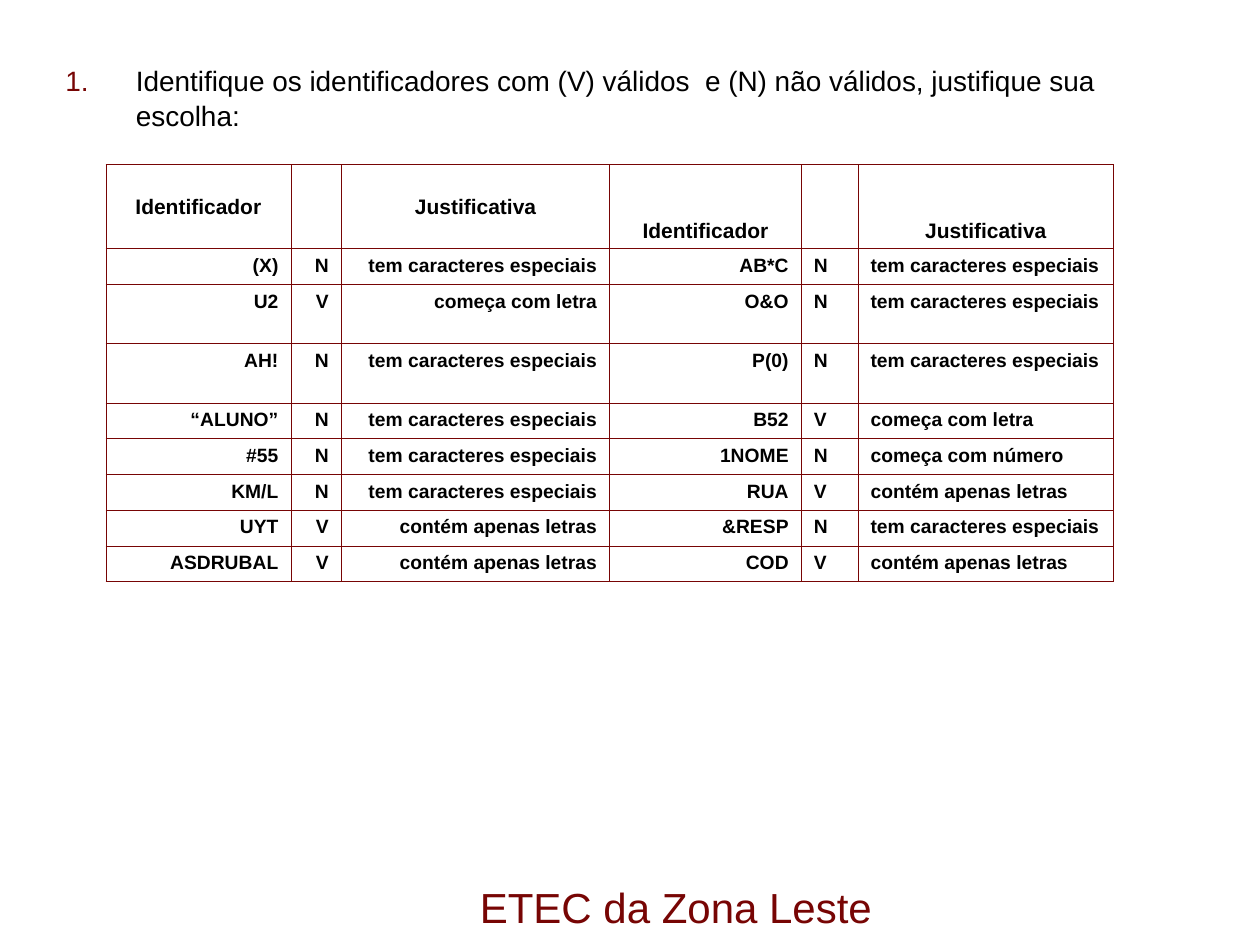
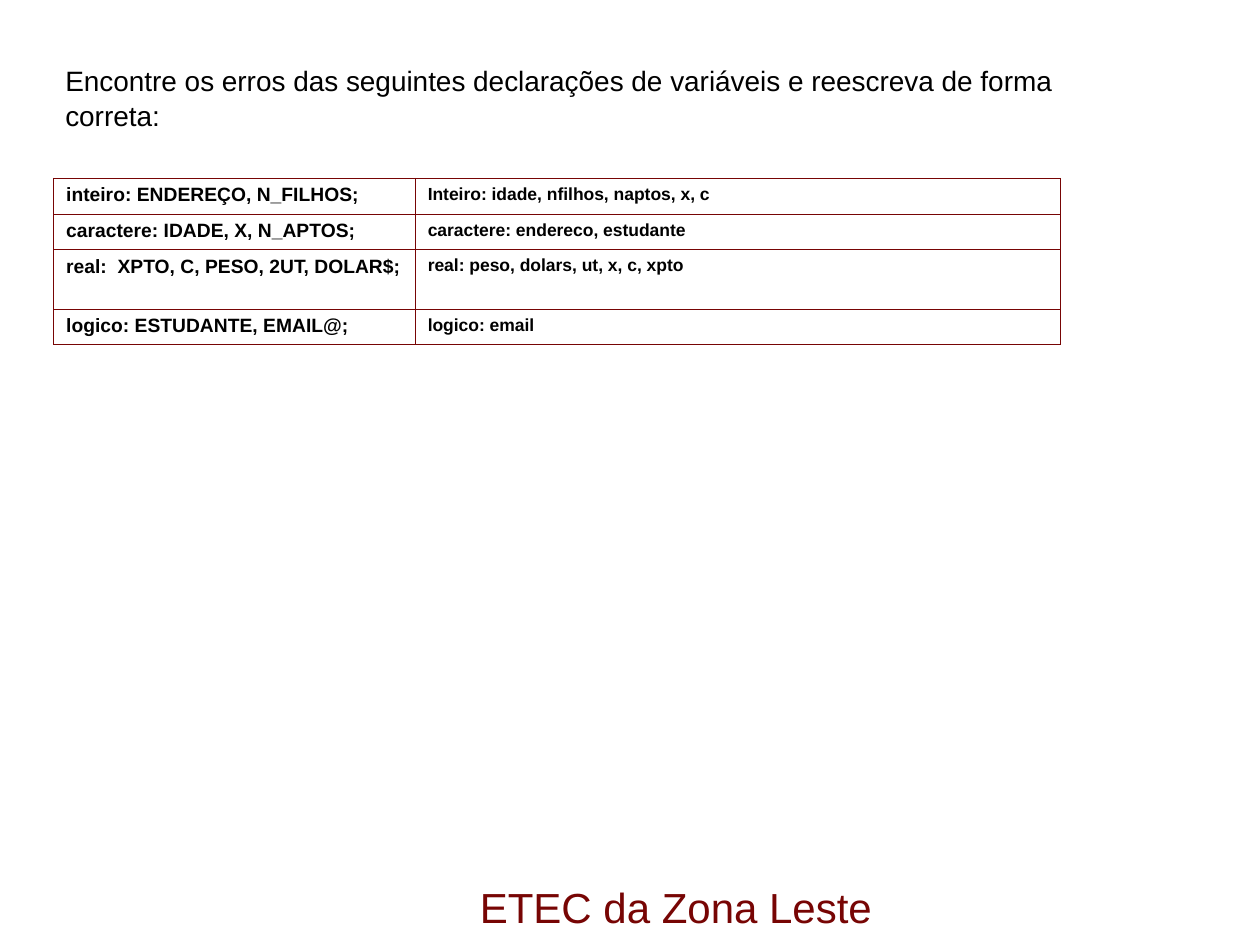
from lxml import etree
from pptx import Presentation, util as u
from pptx.dml.color import RGBColor
from pptx.enum import text
from pptx.oxml import ns

WINE, BLACK, WHITE = "770504", "000000", "FFFFFF"
LEFT, CENTER, RIGHT = text.PP_ALIGN.LEFT, text.PP_ALIGN.CENTER, text.PP_ALIGN.RIGHT
TOP, MIDDLE, BOTTOM = text.MSO_ANCHOR.TOP, text.MSO_ANCHOR.MIDDLE, text.MSO_ANCHOR.BOTTOM
COLS, ROWS = 100, 75
ROW, TALL_ROW, HEADER_ROW = 2.83, 4.7, 6.7


def rgb(value):
    return RGBColor.from_string(value)


def add_xml(parent, tag, **attrs):
    return etree.SubElement(parent, ns.qn(tag), attrs)


class Deck:
    font = "Arial"

    def __init__(self):
        self.prs = Presentation()
        self.prs.slide_width, self.prs.slide_height = u.Inches(10), u.Inches(7.5)
        self.s = None

    def x(self, cols):
        return round(self.prs.slide_width * cols / COLS)

    def y(self, rows):
        return round(self.prs.slide_height * rows / ROWS)

    def box(self, left, top, width, height):
        return self.x(left), self.y(top), self.x(width), self.y(height)

    def style(self, p, size, color=BLACK, bold=False, align=LEFT):
        p.alignment = align
        f = p.font
        f.name, f.size, f.bold = self.font, u.Pt(size), bold
        f.color.rgb = rgb(color)

    def slide(self, question, numbered=False):
        self.s = self.prs.slides.add_slide(self.prs.slide_layouts[6])
        self.footer("ETEC da Zona Leste")
        self.question(question, numbered)

    def text(self, area, words, wrap=True):
        tf = self.s.shapes.add_textbox(*self.box(*area)).text_frame
        tf.word_wrap = wrap
        p = tf.paragraphs[0]
        p.text = words
        return p

    def footer(self, words):
        p = self.text((37.1, 69.5, 33.1, 5), words, wrap=False)
        p.space_before = u.Pt(6)
        self.style(p, 24, WINE)

    def question(self, words, numbered):
        p = self.text((4.2, 4.4, 88.4, 57.4), words)
        p.line_spacing = 1.05
        if numbered:
            self.number(p)
        self.style(p, 16)

    def number(self, p):
        pPr = p._p.get_or_add_pPr()
        indent = self.x(5.6)
        pPr.set("marL", str(indent))
        pPr.set("indent", str(-indent))
        add_xml(add_xml(pPr, "a:buClr"), "a:srgbClr", val=WINE)
        add_xml(pPr, "a:buFont", typeface=self.font)
        add_xml(pPr, "a:buAutoNum", type="arabicPeriod")

    def table(self, left, top, widths, heights, rows):
        area = self.box(left, top, sum(widths), sum(heights))
        table = self.s.shapes.add_table(len(rows), len(widths), *area).table
        table.first_row = table.horz_banding = False
        for column, width in zip(table.columns, widths):
            column.width = self.x(width)
        for row, height in zip(table.rows, heights):
            row.height = self.y(height)
        for r, values in enumerate(rows):
            for c, value in enumerate(values):
                table.cell(r, c).text = value
                self.borders(table.cell(r, c))
        return table

    def borders(self, cell):
        tcPr = cell._tc.get_or_add_tcPr()
        for side in ("a:lnL", "a:lnR", "a:lnT", "a:lnB"):
            ln = add_xml(tcPr, side, w=str(u.Pt(0.45)))
            add_xml(add_xml(ln, "a:solidFill"), "a:srgbClr", val=WINE)
        cell.fill.solid()
        cell.fill.fore_color.rgb = rgb(WHITE)

    def cell(self, cell, size, align=LEFT, anchor=TOP):
        cell.vertical_anchor = anchor
        if align == LEFT:
            cell.margin_right = u.Inches(0.05)
        self.style(cell.text_frame.paragraphs[0], size, bold=True, align=align)


SPECIAL = "tem caracteres especiais"
LETTER = "começa com letra"
DIGIT = "começa com número"
LETTERS = "contém apenas letras"

IDENTIFIERS = [
    ("Identificador", "", "Justificativa") * 2,
    ("(X)", "N", SPECIAL, "AB*C", "N", SPECIAL),
    ("U2", "V", LETTER, "O&O", "N", SPECIAL),
    ("AH!", "N", SPECIAL, "P(0)", "N", SPECIAL),
    ("“ALUNO”", "N", SPECIAL, "B52", "V", LETTER),
    ("#55", "N", SPECIAL, "1NOME", "N", DIGIT),
    ("KM/L", "N", SPECIAL, "RUA", "V", LETTERS),
    ("UYT", "V", LETTERS, "&RESP", "N", SPECIAL),
    ("ASDRUBAL", "V", LETTERS, "COD", "V", LETTERS),
]

DECLARATIONS = [
    ("inteiro: ENDEREÇO, N_FILHOS;", "Inteiro: idade, nfilhos, naptos, x, c"),
    ("caractere: IDADE, X, N_APTOS;", "caractere: endereco, estudante"),
    ("real:  XPTO, C, PESO, 2UT, DOLAR$;", "real: peso, dolars, ut, x, c, xpto"),
    ("logico: ESTUDANTE, EMAIL@;", "logico: email"),
]


def identifiers_slide(deck):
    deck.slide("Identifique os identificadores com (V) válidos  e (N) não válidos, "
               "justifique sua escolha:", numbered=True)
    heights = [HEADER_ROW, ROW] + [TALL_ROW] * 2 + [ROW] * 5
    table = deck.table(8.4, 13.05, [14.7, 4, 21.3, 15.2, 4.5, 20.3], heights, IDENTIFIERS)
    for r in range(len(IDENTIFIERS)):
        for c in range(6):
            if r == 0:
                deck.cell(table.cell(r, c), 12, CENTER, MIDDLE if c < 3 else BOTTOM)
            else:
                deck.cell(table.cell(r, c), 11, RIGHT if c < 4 else LEFT)


def declarations_slide(deck):
    deck.slide("Encontre os erros das seguintes declarações de variáveis "
               "e reescreva de forma correta:")
    table = deck.table(4.25, 14.15, [28.7, 51.2], [ROW, ROW, TALL_ROW, ROW], DECLARATIONS)
    for r in range(len(DECLARATIONS)):
        for c, size in enumerate((11, 10)):
            deck.cell(table.cell(r, c), size)


def main():
    deck = Deck()
    identifiers_slide(deck)
    declarations_slide(deck)
    deck.prs.save("out.pptx")


if __name__ == "__main__":
    main()
